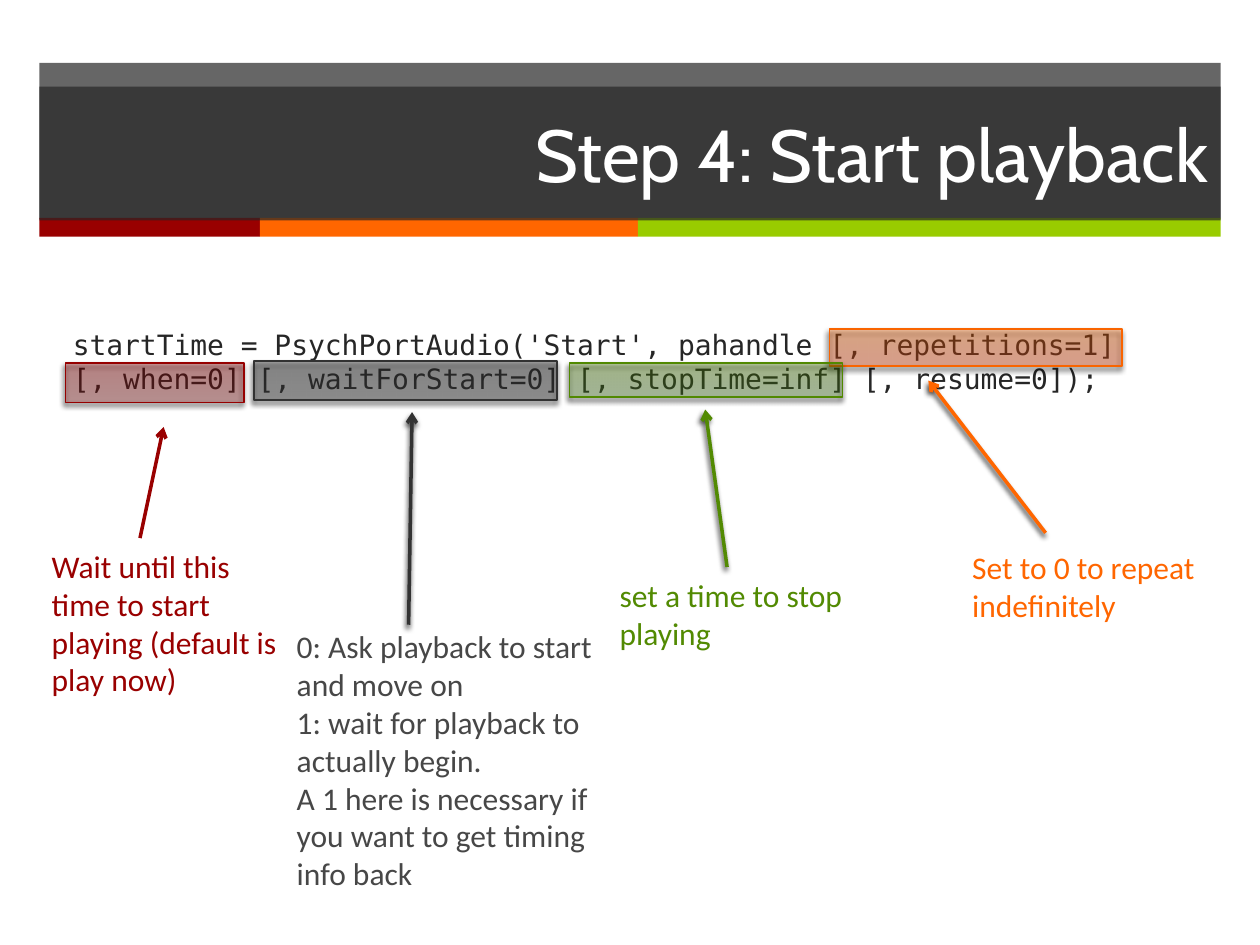
"""Build the slide that explains the arguments of the playback start call."""
from lxml import etree
from pptx import Presentation
from pptx.dml.color import RGBColor
from pptx.enum.shapes import MSO_CONNECTOR, MSO_SHAPE
from pptx.enum.text import MSO_ANCHOR, PP_ALIGN
from pptx.oxml.ns import qn
from pptx.util import Pt

RECTANGLE = MSO_SHAPE.RECTANGLE
STRAIGHT = MSO_CONNECTOR.STRAIGHT
MIDDLE = MSO_ANCHOR.MIDDLE
LEFT, RIGHT = PP_ALIGN.LEFT, PP_ALIGN.RIGHT

COLORS = {
    "white": "FFFFFF", "black": "000000", "dark": "262626",
    "red": "990000", "orange": "FF6600", "lime": "99CC00",
    "green": "528A02", "gray": "333333", "gray text": "474747",
    "red top": "9D2828", "red edge": "960000",
    "orange top": "FF5217", "orange edge": "F96400",
    "green top": "548E2B", "green base": "528C00", "green edge": "518900",
    "gray top": "464646", "gray edge": "323232",
}


def rgb(color):
    return RGBColor.from_string(COLORS[color])


class SlideBuilder:
    """Hold the style and the slide, with one method per kind of element."""

    title_font, note_font, code_font = "Cabin", "Calibri", "DejaVu Sans Mono"
    title_size, note_size, code_size = 42, 18, 16

    def __init__(self, slide):
        self.slide = slide

    def place(self, shape, left, top, width, height):
        shape.left, shape.top = Pt(left), Pt(top)
        shape.width, shape.height = Pt(width), Pt(height)

    def run(self, paragraph, text, font, size, color):
        run = paragraph.add_run()
        run.text = text
        run.font.name, run.font.size = font, Pt(size)
        run.font.color.rgb = rgb(color)

    def set_alpha(self, shape, percent):
        for color in shape.element.spPr.iter(qn("a:srgbClr")):
            etree.SubElement(color, qn("a:alpha"), val=str(percent * 1000))

    def set_shadow(self, shape, visible):
        effects = etree.SubElement(shape.element.spPr, qn("a:effectLst"))
        if visible:
            shadow = etree.SubElement(
                effects, qn("a:outerShdw"), blurRad=str(Pt(3)), dist=str(Pt(2)),
                dir=str(110 * 60000), algn="tl", rotWithShape="0")
            color = etree.SubElement(shadow, qn("a:srgbClr"), val=COLORS["black"])
            etree.SubElement(color, qn("a:alpha"), val="75000")

    def fill_solid(self, shape, color, alpha=None):
        shape.fill.solid()
        shape.fill.fore_color.rgb = rgb(color)
        if alpha:
            self.set_alpha(shape, alpha)

    def bar(self, left, top, width, height, color, alpha=None):
        bar = self.slide.shapes.add_shape(
            RECTANGLE, Pt(left), Pt(top), Pt(width), Pt(height))
        self.fill_solid(bar, color, alpha)
        bar.line.fill.background()
        bar.shadow.inherit = False

    def title(self, text, *box):
        title = self.slide.shapes.title
        self.place(title, *box)
        self.fill_solid(title, "dark", 70)
        title.text_frame.vertical_anchor = MIDDLE
        paragraph = title.text_frame.paragraphs[0]
        paragraph.alignment = RIGHT
        self.run(paragraph, text, self.title_font, self.title_size, "white")
        title.element.getparent().append(title.element)

    def text_frame(self, left, top, width, height):
        box = self.slide.shapes.add_textbox(
            Pt(left), Pt(top), Pt(width), Pt(height))
        box.text_frame.word_wrap = True
        return box.text_frame

    def code(self, lines, *box):
        paragraph = self.text_frame(*box).paragraphs[0]
        paragraph.alignment = LEFT
        for index, line in enumerate(lines):
            if index:
                paragraph.add_line_break()
            self.run(paragraph, line, self.code_font, self.code_size, "dark")

    def note(self, lines, color, *box):
        frame = self.text_frame(*box)
        for index, line in enumerate(lines):
            paragraph = frame.add_paragraph() if index else frame.paragraphs[0]
            self.run(paragraph, line, self.note_font, self.note_size, color)

    def highlight(self, box, start, end, edge, alpha):
        marker = self.slide.shapes.add_shape(RECTANGLE, *map(Pt, box))
        marker.fill.gradient()
        marker.fill.gradient_angle = 90
        for stop, color in zip(marker.fill.gradient_stops, (start, end)):
            stop.color.rgb = rgb(color)
        self.set_alpha(marker, alpha)
        marker.line.color.rgb = rgb(edge)
        marker.line.width = Pt(1)
        self.set_shadow(marker, True)

    def arrow(self, points, color, shadow):
        arrow = self.slide.shapes.add_connector(STRAIGHT, *map(Pt, points))
        arrow.line.color.rgb = rgb(color)
        arrow.line.width = Pt(2)
        etree.SubElement(arrow.element.spPr.find(qn("a:ln")),
                         qn("a:tailEnd"), type="arrow")
        self.set_shadow(arrow, shadow)


def main():
    deck = Presentation()
    deck.slide_width, deck.slide_height = Pt(720), Pt(540)
    builder = SlideBuilder(deck.slides.add_slide(deck.slide_layouts[5]))

    band_left, band_width = 22.5, 675
    builder.bar(band_left, 36, band_width, 89, "dark", 70)
    stripe_left = band_left
    for color, width in (("red", 126), ("orange", 216), ("lime", 333)):
        builder.bar(stripe_left, 124.5, width, 10.8, color)
        stripe_left += width
    builder.title("Step 4: Start playback", band_left, 49.5, band_width, 76.5)

    builder.code(["startTime = PsychPortAudio('Start', pahandle [, repetitions=1]",
                  "[, when=0] [, waitForStart=0] [, stopTime=inf] [, resume=0]);"],
                 34.5, 183.6, 685.5, 242)

    arguments = [
        ((474, 188, 167, 21), ("orange top", "orange", "orange edge", 32),
         (597.5, 304.5, 530.5, 217.5), "orange", True,
         ["Set to 0 to repeat indefinitely"], "orange",
         (548.5, 309.5, 152.5, 51)),
        ((37.5, 207.5, 102, 22.5), ("red top", "red", "red edge", 33),
         (80, 307.5, 93.5, 244), "red", False,
         ["Wait until this time to start playing (default is play now)"], "red",
         (22.5, 309, 152.5, 94.5)),
        ((325.5, 207.5, 156, 19.5),
         ("green top", "green base", "green edge", 31),
         (415.5, 324, 403, 234), "green", True,
         ["set a time to stop playing"], "green",
         (347, 325.5, 152.5, 51)),
        ((145, 206.5, 173.5, 22), ("gray top", "gray", "gray edge", 38),
         (233.5, 357, 235.5, 235.5), "gray", True,
         ["0: Ask playback to start and move on",
          "1: wait for playback to actually begin.",
          "A 1 here is necessary if you want to get timing info back"],
         "gray text", (162.5, 355, 191.5, 160)),
    ]
    for (marked, style, points, arrow_color, shadow,
         lines, text_color, note_box) in arguments:
        builder.highlight(marked, *style)
        builder.arrow(points, arrow_color, shadow)
        builder.note(lines, text_color, *note_box)

    deck.save("out.pptx")


if __name__ == "__main__":
    main()
